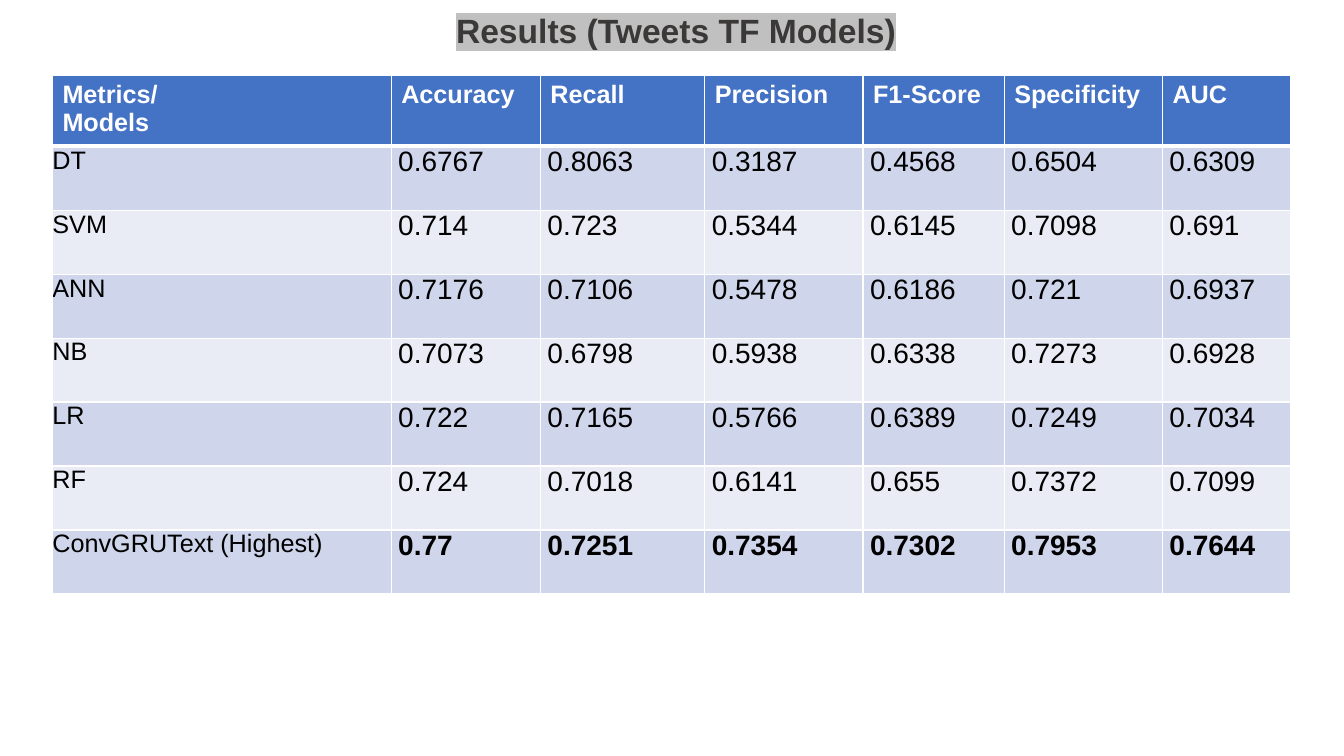
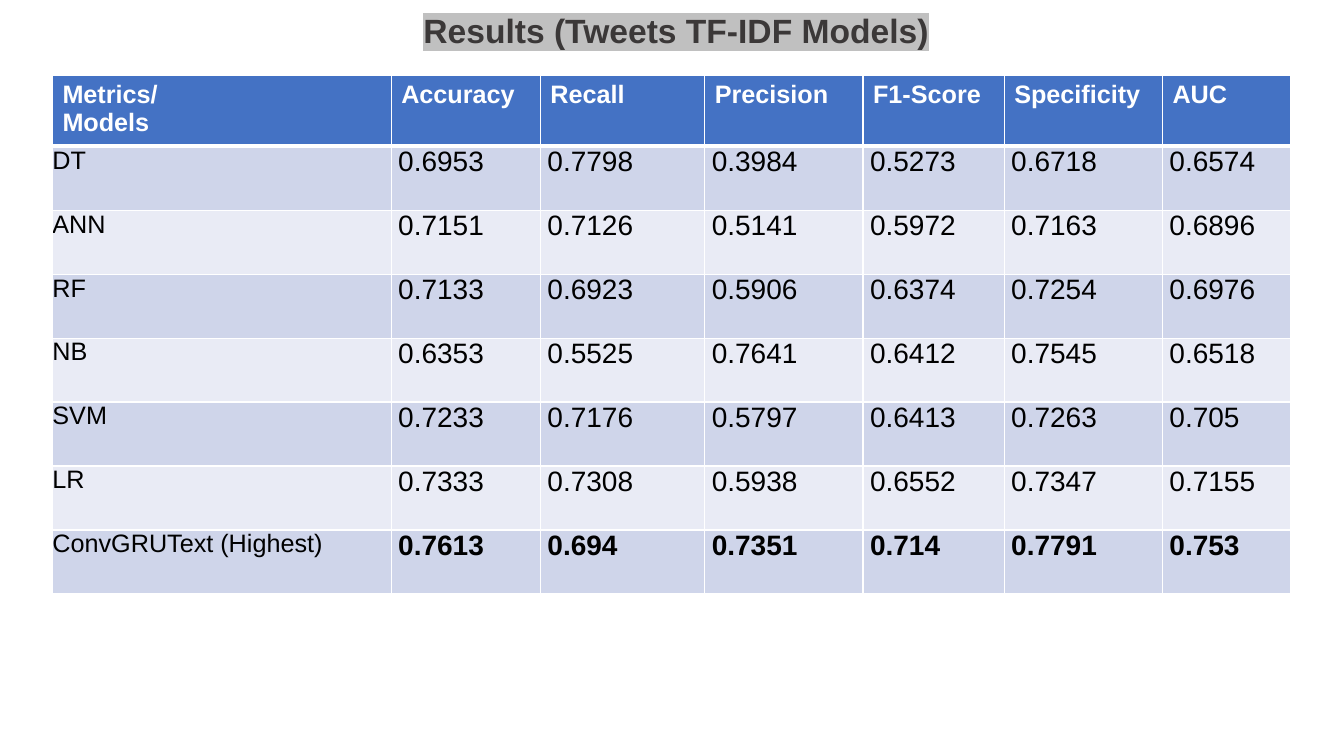
from lxml import etree
from pptx import Presentation
from pptx import util as u
from pptx.dml.color import RGBColor
from pptx.enum import text
from pptx.oxml import ns

TITLE_INK = RGBColor(0x3B, 0x38, 0x38)
HIGHLIGHT = RGBColor(0xC0, 0xC0, 0xC0)
HEADER_BLUE = RGBColor(0x44, 0x72, 0xC4)
BAND_DARK = RGBColor(0xCF, 0xD5, 0xEA)
BAND_LIGHT = RGBColor(0xE9, 0xEB, 0xF5)
WHITE = RGBColor(0xFF, 0xFF, 0xFF)
BLACK = RGBColor(0, 0, 0)
FONT = "Arial"

METRICS = ["Metrics/\nModels", "Accuracy", "Recall", "Precision", "F1-Score", "Specificity", "AUC"]
COLUMN_WIDTHS = [3.36, 1.48, 1.63, 1.57, 1.4, 1.57, 1.27]
TABLE_LEFT, TABLE_TOP, TABLE_HEIGHT = 0.52, 0.75, 5.08
BEST_MODEL = "ConvGRUText (Highest)"

RESULTS = {
    "Results (Tweets TF Models)": [
        ["DT", "0.6767", "0.8063", "0.3187", "0.4568", "0.6504", "0.6309"],
        ["SVM", "0.714", "0.723", "0.5344", "0.6145", "0.7098", "0.691"],
        ["ANN", "0.7176", "0.7106", "0.5478", "0.6186", "0.721", "0.6937"],
        ["NB", "0.7073", "0.6798", "0.5938", "0.6338", "0.7273", "0.6928"],
        ["LR", "0.722", "0.7165", "0.5766", "0.6389", "0.7249", "0.7034"],
        ["RF", "0.724", "0.7018", "0.6141", "0.655", "0.7372", "0.7099"],
        [BEST_MODEL, "0.77", "0.7251", "0.7354", "0.7302", "0.7953", "0.7644"],
    ],
    "Results (Tweets TF-IDF Models)": [
        ["DT", "0.6953", "0.7798", "0.3984", "0.5273", "0.6718", "0.6574"],
        ["ANN", "0.7151", "0.7126", "0.5141", "0.5972", "0.7163", "0.6896"],
        ["RF", "0.7133", "0.6923", "0.5906", "0.6374", "0.7254", "0.6976"],
        ["NB", "0.6353", "0.5525", "0.7641", "0.6412", "0.7545", "0.6518"],
        ["SVM", "0.7233", "0.7176", "0.5797", "0.6413", "0.7263", "0.705"],
        ["LR", "0.7333", "0.7308", "0.5938", "0.6552", "0.7347", "0.7155"],
        [BEST_MODEL, "0.7613", "0.694", "0.7351", "0.714", "0.7791", "0.753"],
    ],
}


def style(paragraph, size, color, bold):
    font = paragraph.font
    font.name, font.size, font.bold = FONT, u.Pt(size), bold
    font.color.rgb = color


def add_color(parent, tag, color):
    holder = etree.SubElement(parent, ns.qn(tag))
    etree.SubElement(holder, ns.qn("a:srgbClr"), val=str(color))


deck = Presentation()
deck.slide_width, deck.slide_height = u.Inches(13.33), u.Inches(7.5)

for heading, models in RESULTS.items():
    slide = deck.slides.add_slide(deck.slide_layouts[6])

    title = slide.shapes.add_textbox(u.Inches(0.33), u.Inches(0.1), u.Inches(12.75), u.Inches(0.38)).text_frame
    title.word_wrap = True
    title.margin_top = title.margin_bottom = 0
    title_line = title.paragraphs[0]
    title_line.alignment = text.PP_ALIGN.CENTER
    style(title_line, 24, TITLE_INK, True)
    title_run = title_line.add_run()
    title_run.text = heading
    add_color(title_run.font._element, "a:highlight", HIGHLIGHT)

    rows = [METRICS] + models
    table = slide.shapes.add_table(
        len(rows), len(METRICS), u.Inches(TABLE_LEFT), u.Inches(TABLE_TOP),
        u.Inches(sum(COLUMN_WIDTHS)), u.Inches(TABLE_HEIGHT)).table
    table.horz_banding = False
    for column, width in zip(table.columns, COLUMN_WIDTHS):
        column.width = u.Inches(width)

    for r, row in enumerate(rows):
        for c, value in enumerate(row):
            cell = table.cell(r, c)
            cell.text = value
            borders = {"a:lnL": 1, "a:lnR": 1, "a:lnT": 3 if r == 1 else 1, "a:lnB": 3 if r == 0 else 1}
            for side, weight in borders.items():
                border = etree.SubElement(cell._tc.get_or_add_tcPr(), ns.qn(side), w=str(u.Pt(weight)))
                add_color(border, "a:solidFill", WHITE)
            cell.fill.solid()
            if r == 0:
                cell.fill.fore_color.rgb = HEADER_BLUE
                for paragraph in cell.text_frame.paragraphs:
                    style(paragraph, 18, WHITE, True)
                continue
            cell.fill.fore_color.rgb = BAND_DARK if r % 2 else BAND_LIGHT
            cell.margin_top = cell.margin_bottom = 0
            cell.margin_left = cell.margin_right = u.Inches(0.07 if c else 0)
            paragraph = cell.text_frame.paragraphs[0]
            paragraph.alignment = text.PP_ALIGN.JUSTIFY
            paragraph.space_after = u.Pt(6)
            style(paragraph, 20 if c else 18, BLACK, c > 0 and row[0] == BEST_MODEL)

deck.save("out.pptx")
